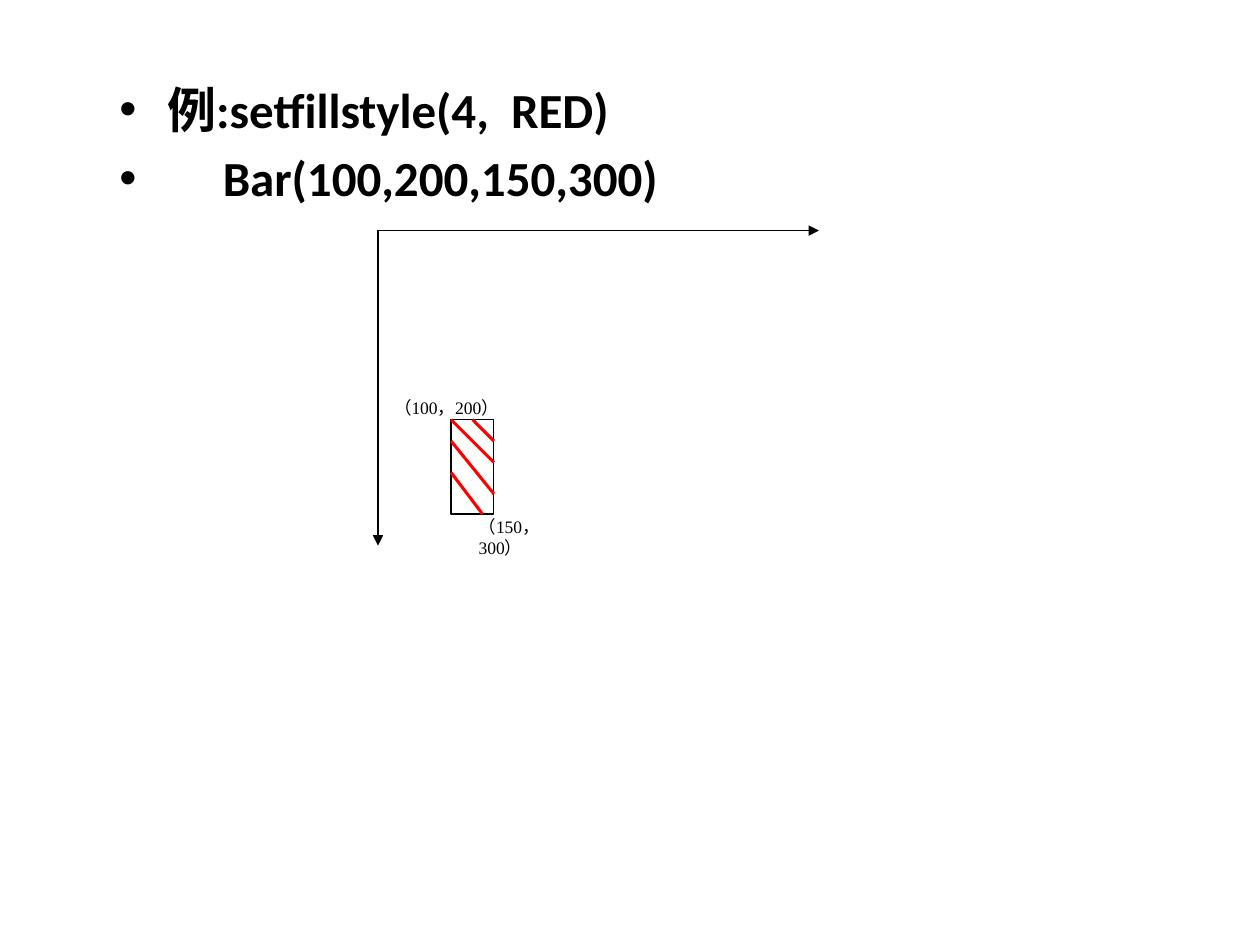
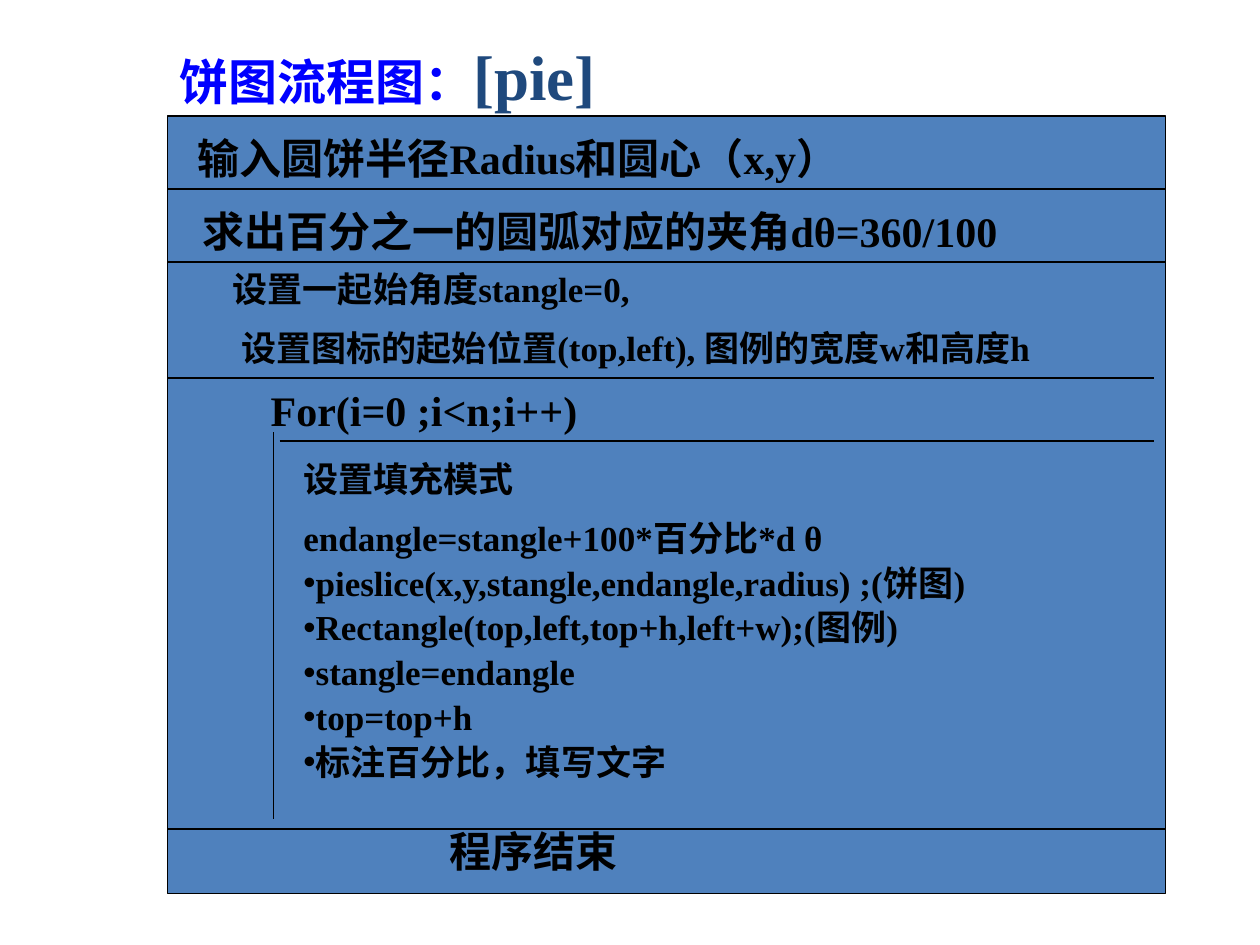
from dataclasses import dataclass

import lxml.etree
import pptx
import pptx.dml.color
import pptx.enum.shapes
import pptx.enum.text
import pptx.oxml.ns
import pptx.util

Inches = pptx.util.Inches
qn = pptx.oxml.ns.qn

HUES = {"ink": "000000", "red": "FF0000", "blue": "0000FF", "navy": "1F497D", "panel": "4F81BD"}
SERIF = "Times New Roman"
SANS = "Calibri"


@dataclass
class Run:
    text: str
    size: float = 24
    hue: str = "ink"
    bold: bool = True
    font: str = SERIF


@dataclass
class Para:
    runs: list[Run]
    before: int = 50  # percent of the line
    lines: float | None = None
    bullet: bool = False
    left: float = 0
    first: float = 0


@dataclass
class Label:
    box: tuple[float, float, float, float]
    paras: list[Para]
    grow: bool = True


@dataclass
class Rule:
    start: tuple[float, float]
    end: tuple[float, float]
    hue: str = "ink"
    width: float = 0.75
    arrow: bool = False


def color(hue: str) -> pptx.dml.color.RGBColor:
    return pptx.dml.color.RGBColor.from_string(HUES[hue])


def child(node, tag: str, **attrs: str):
    return lxml.etree.SubElement(node, qn(tag), attrs)


def add_rule(slide, rule: Rule) -> None:
    points = [Inches(n) for n in (*rule.start, *rule.end)]
    line = slide.shapes.add_connector(pptx.enum.shapes.MSO_CONNECTOR.STRAIGHT, *points)
    line.line.color.rgb = color(rule.hue)
    line.line.width = pptx.util.Pt(rule.width)
    if rule.arrow:
        child(line.line._get_or_add_ln(), "a:tailEnd", type="triangle")
    child(line._element.spPr, "a:effectLst")


def add_box(slide, box: tuple[float, float, float, float], fill: str | None = None) -> None:
    shape = slide.shapes.add_shape(
        pptx.enum.shapes.MSO_SHAPE.RECTANGLE, *[Inches(n) for n in box])
    shape.shadow.inherit = False
    shape.line.color.rgb = color("ink")
    shape.line.width = pptx.util.Pt(0.75)
    if fill:
        shape.fill.solid()
        shape.fill.fore_color.rgb = color(fill)
    else:
        shape.fill.background()


def set_para(item, para: Para) -> None:
    if para.lines:
        item.line_spacing = para.lines
    props = item._p.get_or_add_pPr()
    props.set("marL", str(Inches(para.left)))
    props.set("indent", str(Inches(para.first)))
    space = child(props, "a:spcBef")
    child(space, "a:spcPct", val=str(para.before * 1000))
    if para.bullet:
        child(props, "a:buFont", typeface="Arial")
        child(props, "a:buChar", char="•")
    for part in para.runs:
        run = item.add_run()
        run.text = part.text
        run.font.size = pptx.util.Pt(part.size)
        run.font.name = part.font
        run.font.bold = part.bold
        run.font.color.rgb = color(part.hue)


def add_label(slide, label: Label) -> None:
    frame = slide.shapes.add_textbox(*[Inches(n) for n in label.box]).text_frame
    frame.word_wrap = True
    sizes = pptx.enum.text.MSO_AUTO_SIZE
    frame.auto_size = sizes.SHAPE_TO_FIT_TEXT if label.grow else sizes.NONE
    for index, para in enumerate(label.paras):
        set_para(frame.add_paragraph() if index else frame.paragraphs[0], para)


def draw_bar(slide) -> None:
    # Code example; the second line hangs deeper than the first
    lines = [("例:setfillstyle(4,  RED)", 0.38), ("Bar(100,200,150,300)", 0.82)]
    add_label(slide, Label((0.85, 0.58, 8.93, 6.42), [
        Para([Run(text, 28, font=SANS)], 20, bullet=True, left=left, first=-left)
        for text, left in lines], grow=False))

    # Screen axes
    add_rule(slide, Rule((2.99, 1.83), (6.5, 1.83), arrow=True))
    add_rule(slide, Rule((3, 1.83), (3, 4.33), arrow=True))

    # Hatched bar
    left, top, right, base = 3.58, 3.33, 3.92, 4.08
    add_box(slide, (left, top, right - left, base - top))
    hatch = [((3.75, top), (right, 3.5)), ((left, top), (right, 3.67)),
             ((left, 3.5), (right, 3.92)), ((left, 3.75), (3.83, base))]
    for start, end in hatch:
        add_rule(slide, Rule(start, end, "red", 1.75))

    # Corner coordinates
    for text, box in [("（100，200）", (3.03, 3.1, 1.5, 0.27)),
                      ("（150，300）", (3.7, 4.05, 0.92, 0.27))]:
        add_label(slide, Label(box, [Para([Run(text, 10, bold=False)])]))


def draw_pie(slide) -> None:
    # Panel with its dividers and the loop bracket
    left, top, right, base = 1.33, 0.92, 9.25, 7.09
    inner = 9.16
    add_box(slide, (left, top, right - left, base - top), "panel")
    for start, end, y in [(left, right, 1.5), (left, right, 2.08), (left, inner, 3),
                          (2.22, inner, 3.5), (left, right, 6.58)]:
        add_rule(slide, Rule((start, y), (end, y)))
    add_rule(slide, Rule((2.17, 3.43), (2.17, 6.5)))

    # Single-line steps
    steps = [("输入圆饼半径Radius和圆心（x,y）", 1.47, 1, 7.29),
             ("求出百分之一的圆弧对应的夹角dθ=360/100", 1.51, 1.58, 7.2),
             ("For(i=0 ;i<n;i++)", 2.05, 3, 2.67),
             ("程序结束", 3.47, 6.5, 5.07)]
    for text, x, y, width in steps:
        add_label(slide, Label((x, y, width, 0.5), [Para([Run(text)])]))

    # Start values
    add_label(slide, Label((1.75, 2.07, 7.83, 0.93), [
        Para([Run("设置一起始角度stangle=0,", 20)]),
        Para([Run("设置图标的起始位置(top,left), 图例的宽度w和高度h", 20)], first=0.07)]))

    # Loop body
    heads = ["设置填充模式", "endangle=stangle+100*百分比*d θ"]
    calls = ["pieslice(x,y,stangle,endangle,radius) ;(饼图)",
             "Rectangle(top,left,top+h,left+w);(图例)",
             "stangle=endangle", "top=top+h", "标注百分比，填写文字"]
    add_label(slide, Label((2.31, 3.58, 5.96, 3.27), [
        *[Para([Run(text, 20)]) for text in heads],
        *[Para([Run(text, 20)], 20, 0.9, True) for text in calls]]))

    # Title
    add_label(slide, Label((1.33, 0.25, 6.5, 0.7), [
        Para([Run("饼图流程图：", 28, "blue"), Run("[pie]", 36, "navy")])]))


def main() -> None:
    deck = pptx.Presentation()
    deck.slide_width, deck.slide_height = Inches(10), Inches(7.5)
    for draw in (draw_bar, draw_pie):
        draw(deck.slides.add_slide(deck.slide_layouts[6]))
    deck.save("out.pptx")


if __name__ == "__main__":
    main()
